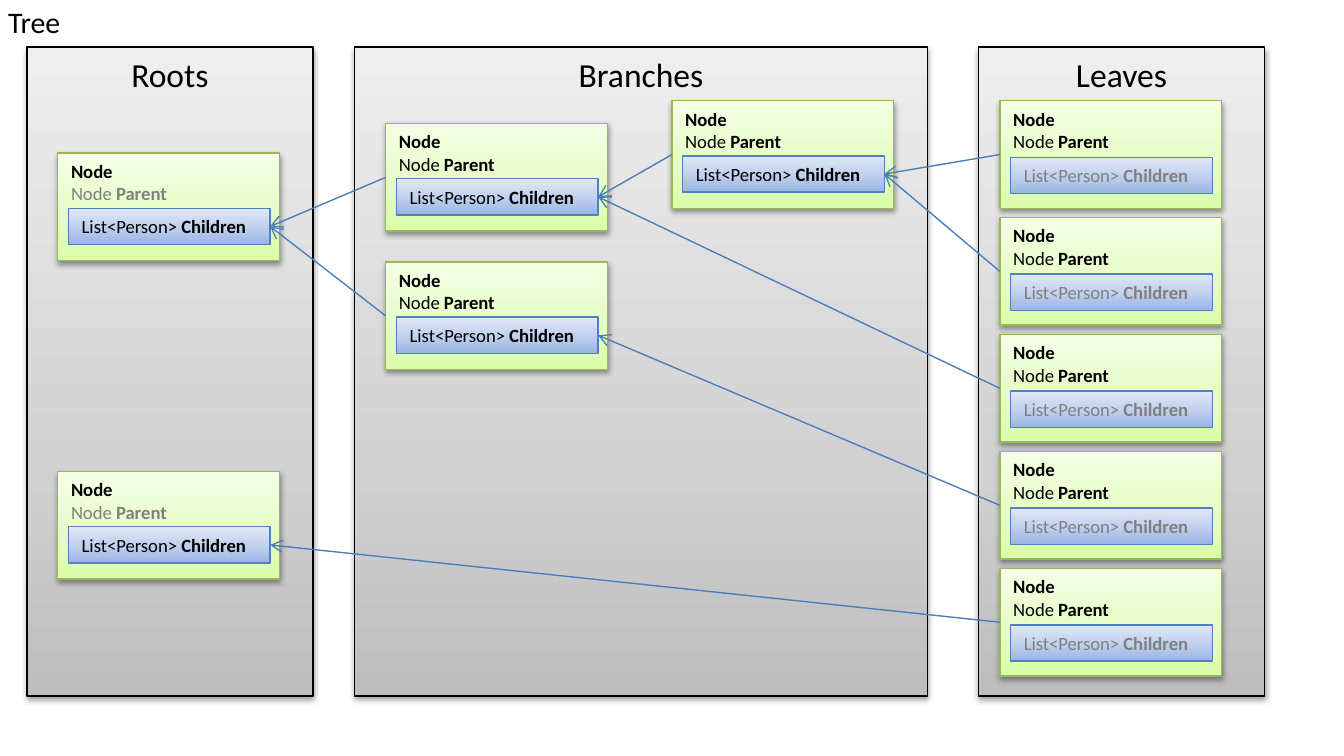
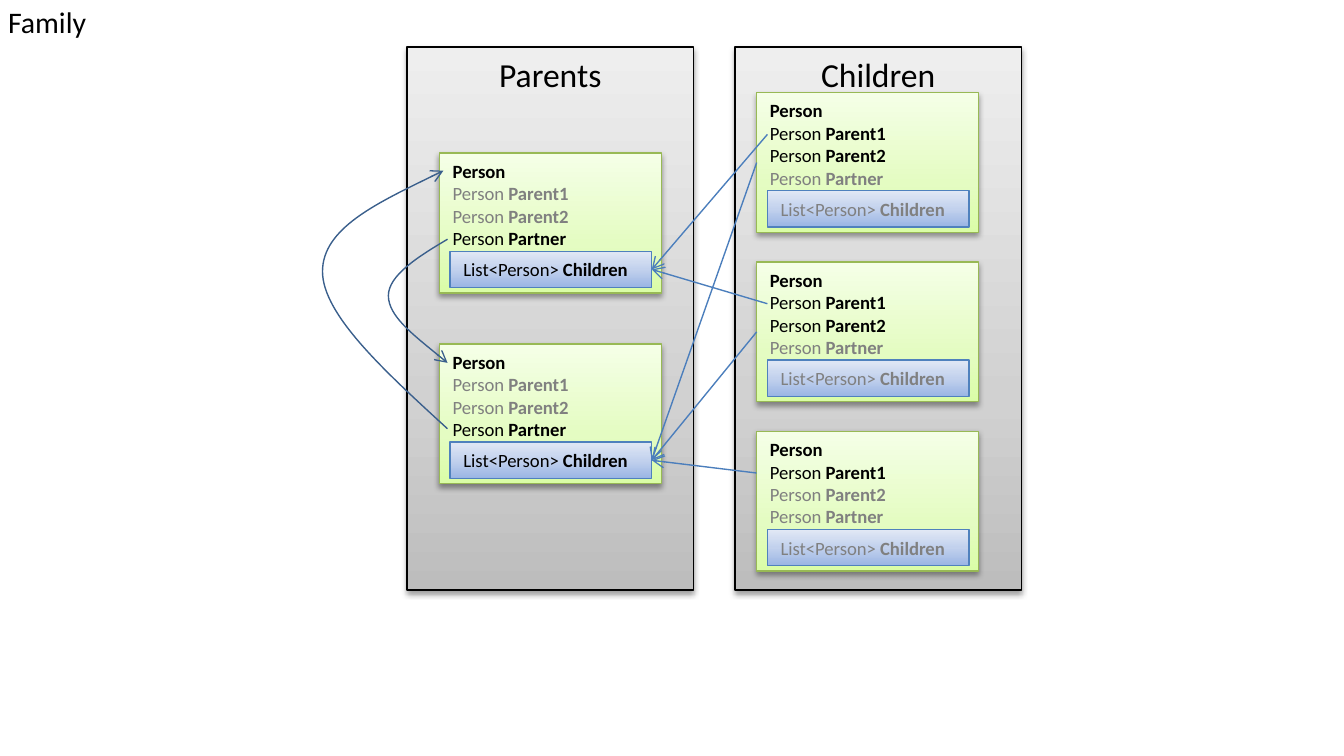
from collections import namedtuple
from dataclasses import dataclass

from lxml import etree
from pptx import Presentation
from pptx.dml.color import RGBColor
from pptx.enum.shapes import MSO_CONNECTOR, MSO_SHAPE
from pptx.enum.text import MSO_ANCHOR, MSO_AUTO_SIZE, PP_ALIGN
from pptx.oxml.ns import qn
from pptx.util import Inches, Pt

RECTANGLE = MSO_SHAPE.RECTANGLE
STRAIGHT = MSO_CONNECTOR.STRAIGHT
TOP, MIDDLE = MSO_ANCHOR.TOP, MSO_ANCHOR.MIDDLE
LEFT, CENTER = PP_ALIGN.LEFT, PP_ALIGN.CENTER
LEFT_SITE, RIGHT_SITE = 1, 3  # connection sites of a rectangle
TITLE_ONLY = 5


@dataclass(frozen=True)
class Theme:
    font: str = "Calibri"
    title_size: int = 16
    panel_size: int = 18
    body_size: int = 10
    line_width: float = 0.75
    text: str = "000000"
    muted: str = "808080"
    arrow: str = "4B7EBC"
    curve: str = "3A5F8C"
    panel_line: str = "000000"
    node_line: str = "98B955"
    chip_line: str = "4F81BD"
    panel_fill: tuple = ((0, "BDBDBD"), (35, "D1D1D1"), (100, "EEEEEE"))
    node_fill: tuple = ((0, "DAFDA7"), (35, "E4FCC2"), (100, "F5FFE7"))
    chip_fill: tuple = ((0, "9AB5E4"), (50, "C2D1ED"), (100, "E1E8F5"))


THEME = Theme()
Node = namedtuple("Node", "left top box chip")

# Slide and grid, in inches
SLIDE_WIDTH = 10
SLIDE_HEIGHT = SLIDE_WIDTH * 9 / 16
COLUMN = 2.44
PANEL_TOP, PANEL_WIDTH = 0.35, 2.13
NODE_WIDTH = 1.65
CHIP_INDENT, CHIP_WIDTH, CHIP_HEIGHT = 0.08, 1.5, 0.27
PARENT1_ROW = 0.31  # middle of the Parent1 line below the top of a person


def color(value):
    return RGBColor.from_string(value)


def style_text(paragraph, size, value=THEME.text, bold=None):
    font = paragraph.font
    font.name, font.size, font.bold = THEME.font, Pt(size), bold
    font.color.rgb = color(value)


def style_line(shape, value, arrow=False):
    shape.line.color.rgb = color(value)
    shape.line.width = Pt(THEME.line_width)
    if arrow:
        line = shape._element.spPr.find(qn("a:ln"))
        etree.SubElement(line, qn("a:tailEnd"), type="arrow")


def add_color_element(parent, value):
    return etree.SubElement(parent, qn("a:srgbClr"), val=value)


def fill_gradient(shape, stops):
    """Fill from bottom to top with any number of stops."""
    shape.fill.gradient()
    shape.fill.gradient_angle = 90
    stop_list = shape._element.spPr.find(qn("a:gradFill")).find(qn("a:gsLst"))
    for stop in list(stop_list):
        stop_list.remove(stop)
    for position, value in stops:
        stop = etree.SubElement(stop_list, qn("a:gs"), pos=str(position * 1000))
        add_color_element(stop, value)


def add_shadow(shape):
    effects = shape._element.spPr.find(qn("a:effectLst"))
    shadow = etree.SubElement(effects, qn("a:outerShdw"), blurRad="40000",
                              dist="20000", dir="5400000", rotWithShape="0")
    etree.SubElement(add_color_element(shadow, "000000"), qn("a:alpha"), val="38000")


def add_box(slide, left, top, width, height, fill, line, anchor=TOP, shadow=True):
    box = slide.shapes.add_shape(
        RECTANGLE, *(Inches(length) for length in (left, top, width, height)))
    fill_gradient(box, fill)
    style_line(box, line)
    box.shadow.inherit = False
    if shadow:
        add_shadow(box)
    box.text_frame.vertical_anchor = anchor
    box.text_frame.word_wrap = True
    return box


def write_field(paragraph, kind, name, active):
    """A plain type followed by a bold name, grey when unused."""
    paragraph.alignment = LEFT
    style_text(paragraph, THEME.body_size, THEME.text if active else THEME.muted)
    paragraph.add_run().text = kind + " "
    name_run = paragraph.add_run()
    name_run.text = name
    name_run.font.bold = True


def add_title(slide, text, width):
    title = slide.shapes.title
    title.left, title.top = Inches(-0.04), Inches(-0.02)
    title.width, title.height = Inches(width), Inches(0.37)
    frame = title.text_frame
    frame.text = text
    frame.word_wrap = False
    frame.auto_size = MSO_AUTO_SIZE.SHAPE_TO_FIT_TEXT
    frame.vertical_anchor = TOP
    frame.paragraphs[0].alignment = LEFT
    style_text(frame.paragraphs[0], THEME.title_size)


def add_panel(slide, left, height, heading, width=PANEL_WIDTH):
    panel = add_box(slide, left, PANEL_TOP, width, height,
                    THEME.panel_fill, THEME.panel_line)
    paragraph = panel.text_frame.paragraphs[0]
    paragraph.text = heading
    paragraph.alignment = CENTER
    style_text(paragraph, THEME.panel_size)


def add_node(slide, left, top, kind, fields, has_children, height, chip_drop):
    """A class box with its fields, and a chip for its list of children."""
    box = add_box(slide, left, top, NODE_WIDTH, height,
                  THEME.node_fill, THEME.node_line)
    heading = box.text_frame.paragraphs[0]
    heading.text = kind
    heading.alignment = LEFT
    style_text(heading, THEME.body_size, bold=True)
    for name, active in fields:
        write_field(box.text_frame.add_paragraph(), kind, name, active)
    chip = add_box(slide, left + CHIP_INDENT, top + chip_drop, CHIP_WIDTH,
                   CHIP_HEIGHT, THEME.chip_fill, THEME.chip_line, MIDDLE, False)
    write_field(chip.text_frame.paragraphs[0], "List<Person>", "Children", has_children)
    return Node(left, top, box, chip)


def add_tree_node(slide, left, top, has_parent=True, has_children=True):
    return add_node(slide, left, top, "Node", [("Parent", has_parent)],
                    has_children, 0.8, 0.41 if has_children else 0.42)


def add_person(slide, left, top, parent1, parent2, partner, has_children):
    fields = [("Parent1", parent1), ("Parent2", parent2), ("Partner", partner)]
    return add_node(slide, left, top, "Person", fields, has_children, 1.04, 0.73)


def connect(slide, child, parent, start=None):
    """Arrow from a child, or a start point on it, to its parent's chip."""
    x, y = (Inches(length) for length in start or (child.left, child.top))
    connector = slide.shapes.add_connector(STRAIGHT, x, y, x, y)
    if start is None:
        connector.begin_connect(child.box, LEFT_SITE)
    connector.end_connect(parent.chip, RIGHT_SITE)
    style_line(connector, THEME.arrow, arrow=True)
    etree.SubElement(connector._element.spPr, qn("a:effectLst"))


def add_curve(slide, points):
    """Arrow along cubic curves: a start, then three points for each curve."""
    start, *rest = [(Inches(x), Inches(y)) for x, y in points]
    builder = slide.shapes.build_freeform(*start)
    builder.add_line_segments(rest, close=False)
    curve = builder.convert_to_shape()
    segments = list(curve._element.iter(qn("a:lnTo")))
    outline = segments[0].getparent()
    for first in range(0, len(segments), 3):
        cubic = etree.SubElement(outline, qn("a:cubicBezTo"))
        for segment in segments[first:first + 3]:
            cubic.append(segment[0])
            outline.remove(segment)
    curve.fill.background()
    style_line(curve, THEME.curve, arrow=True)
    curve.shadow.inherit = False


def new_slide(presentation, title, title_width):
    slide = presentation.slides.add_slide(presentation.slide_layouts[TITLE_ONLY])
    add_title(slide, title, title_width)
    return slide


def build_tree(presentation):
    slide = new_slide(presentation, "Tree", 0.6)
    roots_left, leaves_left = 0.2, 7.28
    branches_left = roots_left + COLUMN
    height = 4.83
    add_panel(slide, roots_left, height, "Roots")
    add_panel(slide, branches_left, height, "Branches", 2 * PANEL_WIDTH)
    add_panel(slide, leaves_left, height, "Leaves")

    # Nodes
    upper_root, lower_root = (
        add_tree_node(slide, roots_left + 0.23, top, has_parent=False)
        for top in (1.14, 3.51))
    upper, lower, inner = (
        add_tree_node(slide, branches_left + indent, top)
        for indent, top in ((0.23, 0.92), (0.23, 1.95), (2.36, 0.75)))
    leaves = [add_tree_node(slide, leaves_left + 0.16, 0.75 + 0.87 * row,
                            has_children=False) for row in range(5)]

    # Links from child to parent
    for leaf, parent in zip(leaves, (inner, inner, upper, lower, lower_root)):
        connect(slide, leaf, parent)
    connect(slide, inner, upper)
    for branch in (upper, lower):
        connect(slide, branch, upper_root)


def build_family(presentation):
    slide = new_slide(presentation, "Family", 0.79)
    parents_left = 3.03
    children_left = parents_left + COLUMN
    add_panel(slide, parents_left, 4.04, "Parents")
    add_panel(slide, children_left, 4.04, "Children")

    # People
    first_parent, second_parent = (
        add_person(slide, parents_left + 0.24, 1.14 + 1.42 * row,
                   False, False, True, True) for row in range(2))
    children = [add_person(slide, children_left + 0.16, 0.69 + 1.26 * row,
                           True, row < 2, False, False) for row in range(3)]

    # Links from child to parents
    for child in children[:2]:
        start = (child.left + CHIP_INDENT, child.top + PARENT1_ROW)
        connect(slide, child, first_parent, start)
        connect(slide, child, second_parent)
    last = children[2]
    connect(slide, last, second_parent, (last.left, last.top + PARENT1_ROW))

    # Links between partners
    add_curve(slide, [(3.33, 3.19), (2.86, 2.76), (2.4, 2.34), (2.4, 2.02),
                      (2.4, 1.7), (2.85, 1.49), (3.3, 1.27)])
    add_curve(slide, [(3.33, 1.78), (3.11, 1.91), (2.89, 2.05), (2.89, 2.2),
                      (2.89, 2.35), (3.11, 2.52), (3.33, 2.7)])


def main():
    presentation = Presentation()
    presentation.slide_width = Inches(SLIDE_WIDTH)
    presentation.slide_height = Inches(SLIDE_HEIGHT)
    build_tree(presentation)
    build_family(presentation)
    presentation.save("out.pptx")


main()
